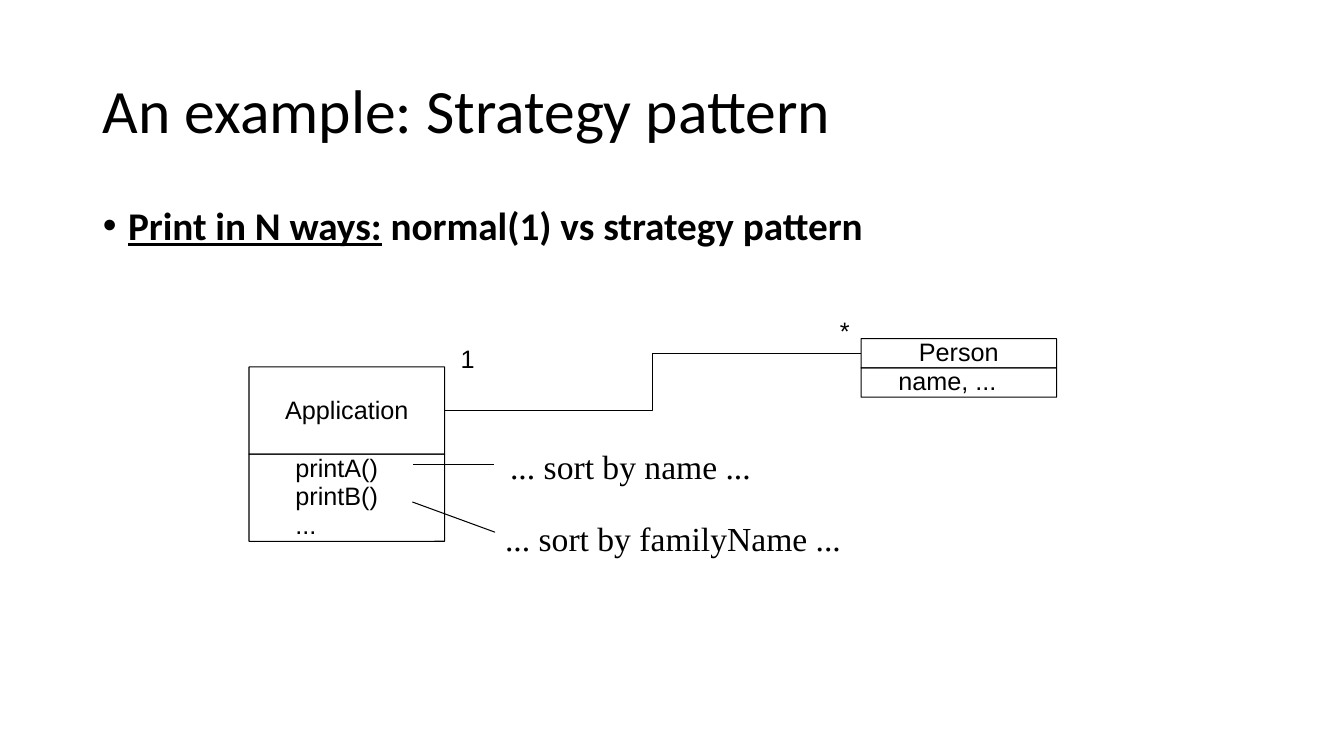
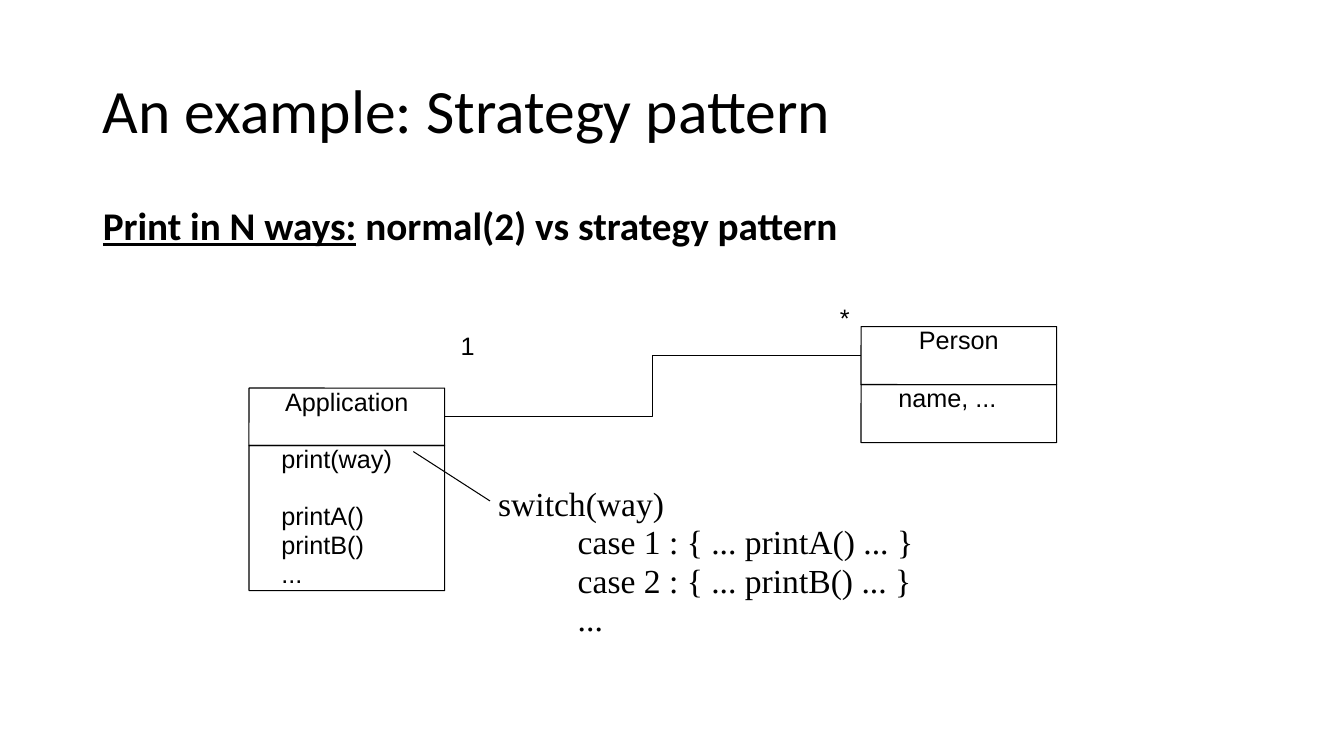
import pptx
import pptx.dml.color
import pptx.enum.shapes
import pptx.enum.text
import pptx.oxml
import pptx.oxml.ns
import pptx.util
from pptx.util import Inches

COLOURS = {"ink": "000000", "paper": "FFFFFF"}
TITLE = "An example: Strategy pattern"
TITLE_AREA = (0.92, 0.4, 11.5, 1.45)
CLASS_WIDTH = 1.94
APPLICATION_LEFT = 2.47
PERSON_LEFT = 8.54
LINE_WIDTH = pptx.util.Pt(0.75)
ANCHOR = pptx.enum.text.MSO_ANCHOR
ALIGN = pptx.enum.text.PP_ALIGN


def colour(name):
    """Return a named colour."""
    return pptx.dml.color.RGBColor.from_string(COLOURS[name])


def place(shape, left, top, width, height):
    """Move and size a shape, in inches."""
    shape.left, shape.top = Inches(left), Inches(top)
    shape.width, shape.height = Inches(width), Inches(height)


def format_text(frame, font, size, spacing, align=ALIGN.LEFT):
    """Format every paragraph and run of a text frame."""
    for para in frame.paragraphs:
        para.alignment = align
        para.line_spacing = spacing
        for span in para.runs:
            span.font.name = font
            span.font.size = pptx.util.Pt(size)
            span.font.color.rgb = colour("ink")


def set_indent(para, left, first=0.0):
    """Set the left indent and first-line offset of a paragraph."""
    properties = para._p.get_or_add_pPr()
    properties.set("marL", str(Inches(left)))
    properties.set("indent", str(Inches(first)))


def set_margins(frame, left=0.0):
    """Clear the insets of a text frame, save for the left one."""
    frame.margin_left = Inches(left)
    frame.margin_top = frame.margin_right = frame.margin_bottom = 0


def add_page(deck, lead, rest, body_height, bulleted):
    """Add a slide with the shared title and a bold heading line."""
    page = deck.slides.add_slide(deck.slide_layouts[1])
    page.background.fill.solid()
    page.background.fill.fore_color.rgb = colour("paper")
    title, body = page.placeholders
    place(title, *TITLE_AREA)
    title.text_frame.text = TITLE
    title.text_frame.vertical_anchor = ANCHOR.MIDDLE
    format_text(title.text_frame, "Calibri", 44, 0.9)

    place(body, 0.92, 2, 11.5, body_height)
    para = body.text_frame.paragraphs[0]
    for words in (lead, rest):
        para.add_run().text = words
    format_text(body.text_frame, "Calibri", 28, 0.9)
    for span in para.runs:
        span.font.bold = True
    para.runs[0].font.underline = True
    para.space_before = pptx.util.Pt(10)
    set_indent(para, 0.25, -0.25)
    if not bulleted:
        para._p.get_or_add_pPr().append(pptx.oxml.parse_xml(
            "<a:buNone %s/>" % pptx.oxml.ns.nsdecls("a")))
    for box in (title, body):
        box.text_frame.auto_size = pptx.enum.text.MSO_AUTO_SIZE.NONE
    return page


def add_compartment(page, area, text, align=ALIGN.LEFT, inset=0.0,
                    anchor=ANCHOR.TOP):
    """Add one outlined compartment of a class box."""
    kind = pptx.enum.shapes.MSO_SHAPE.ROUNDED_RECTANGLE
    box = page.shapes.add_shape(kind, *map(Inches, area))
    box.adjustments[0] = 0.002
    box.shadow.inherit = False
    box.fill.background()
    box.line.color.rgb = colour("ink")
    box.line.width = LINE_WIDTH
    frame = box.text_frame
    frame.word_wrap = True
    frame.vertical_anchor = anchor
    set_margins(frame, inset)
    frame.text = text
    format_text(frame, "Arial", 18, 0.95, align)
    return box


def add_class(page, left, top, name, name_height, members, members_height,
              inset, anchor=ANCHOR.TOP):
    """Add a class as a name compartment above a member compartment."""
    head = add_compartment(page, (left, top, CLASS_WIDTH, name_height),
                           name, ALIGN.CENTER, anchor=anchor)
    detail = add_compartment(
        page, (left, top + name_height, CLASS_WIDTH, members_height),
        members, inset=inset)
    return head, detail


def add_label(page, area, text, font="Times New Roman", size=24):
    """Add plain text without insets."""
    box = page.shapes.add_textbox(*map(Inches, area))
    frame = box.text_frame
    frame.word_wrap = True
    set_margins(frame)
    frame.text = text
    format_text(frame, font, size, 0.95)
    return box


def add_line(page, start, end, elbow=False):
    """Add a thin line or elbow between two points."""
    kinds = pptx.enum.shapes.MSO_CONNECTOR
    line = page.shapes.add_connector(
        kinds.ELBOW if elbow else kinds.STRAIGHT,
        *map(Inches, start + end))
    line.line.color.rgb = colour("ink")
    line.line.width = LINE_WIDTH
    line._element.spPr.append(pptx.oxml.parse_xml(
        "<a:effectLst %s/>" % pptx.oxml.ns.nsdecls("a")))
    return line


def add_association(page, application, person, one_top):
    """Join two classes and label the ends 1 and *."""
    right, left = 3, 1
    line = add_line(page, (4.42, 4.1), (PERSON_LEFT, 3.5), elbow=True)
    line.begin_connect(application, right)
    line.end_connect(person, left)
    add_label(page, (4.57, one_top, 0.2, 0.29), "1", "Arial", 18)
    add_label(page, (8.33, one_top - 0.28, 0.2, 0.29), "*", "Arial", 18)


def add_method_per_way(deck):
    """Build the slide where each way has its own method."""
    page = add_page(deck, "Print in N ways:",
                    " normal(1) vs strategy pattern", 1.66, True)
    application, _ = add_class(
        page, APPLICATION_LEFT, 3.64, "Application", 0.865,
        "printA()\nprintB()\n...", 0.865, 0.46, ANCHOR.MIDDLE)
    person, _ = add_class(page, PERSON_LEFT, 3.36, "Person", 0.29,
                          "name, ...", 0.29, 0.37)
    add_association(page, application, person, 3.43)
    add_line(page, (4.1, 4.61), (4.9, 4.61))
    add_label(page, (5.06, 4.45, 2.6, 0.38), "... sort by name ...")
    add_line(page, (4.09, 4.98), (4.91, 5.28))
    add_label(page, (5.01, 5.17, 3.6, 0.38), "... sort by familyName ...")


def add_switch_on_way(deck):
    """Build the slide where one method switches on the way."""
    page = add_page(deck, "Print in N ways:",
                    " normal(2) vs strategy pattern", 0.88, False)
    application, methods = add_class(
        page, APPLICATION_LEFT, 3.85, "Application", 0.57,
        "print(way)\nprintA()\nprintB()\n...", 1.44, 0.32)
    methods.text_frame.paragraphs[1].space_before = pptx.util.Pt(20.5)
    person, _ = add_class(page, PERSON_LEFT, 3.24, "Person", 0.575,
                          "name, ...", 0.575, 0.37)
    add_association(page, application, person, 3.3)
    add_line(page, (4.1, 4.48), (4.86, 4.97))
    code = add_label(
        page, (4.94, 4.82, 4.4, 1.54),
        "switch(way)\ncase 1 : { ... printA() ... }\n"
        "case 2 : { ... printB() ... }\n...")
    for para in code.text_frame.paragraphs[1:]:
        set_indent(para, 0.79)


def main():
    """Build and save the deck."""
    deck = pptx.Presentation()
    deck.slide_width, deck.slide_height = Inches(13.33), Inches(7.5)
    add_method_per_way(deck)
    add_switch_on_way(deck)
    deck.save("out.pptx")


main()
